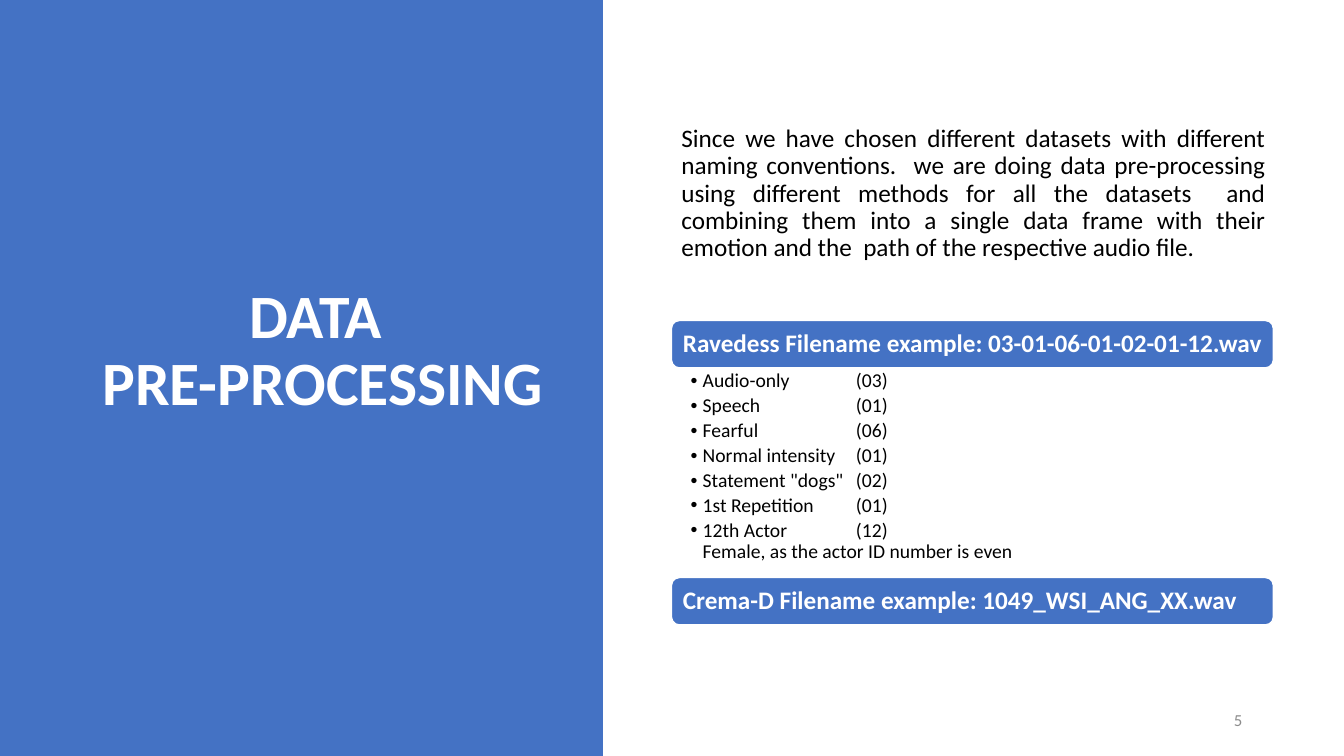
import pptx
import pptx.util
import pptx.dml.color
import pptx.enum.shapes
import pptx.enum.text
import lxml.etree
import pptx.oxml.ns

Inches = pptx.util.Inches
Pt = pptx.util.Pt
RGB = pptx.dml.color.RGBColor
ALIGN = pptx.enum.text.PP_ALIGN
ANCHOR = pptx.enum.text.MSO_ANCHOR
SHAPE = pptx.enum.shapes.MSO_SHAPE
qn = pptx.oxml.ns.qn

BLUE = RGB(0x44, 0x72, 0xC4)
WHITE = RGB(0xFF, 0xFF, 0xFF)
BLACK = RGB(0, 0, 0)
GRAY = RGB(0x8C, 0x8C, 0x8C)

deck = pptx.Presentation()
deck.slide_width = Inches(13.33)
deck.slide_height = Inches(7.5)
slide = deck.slides.add_slide(deck.slide_layouts[6])


def add_block(kind, left, top, width, height):
    """Add a blue preset shape without shadow or outline."""
    block = slide.shapes.add_shape(
        kind, Inches(left), Inches(top), Inches(width), Inches(height))
    block.shadow.inherit = False
    block.fill.solid()
    block.fill.fore_color.rgb = BLUE
    block.line.fill.background()
    return block


def set_text(shape, text, size, color, align, bold=False, anchor=ANCHOR.MIDDLE):
    """Fill a shape with text, one paragraph per line."""
    frame = shape.text_frame
    frame.word_wrap = True
    frame.vertical_anchor = anchor
    frame.text = text
    for para in frame.paragraphs:
        para.alignment = align
        para.line_spacing = 0.9
        for run in para.runs:
            run.font.name = "Calibri"
            run.font.size = Pt(size)
            run.font.bold = bold
            run.font.color.rgb = color
    return frame


# Left panel and title
add_block(SHAPE.RECTANGLE, 0, 0, 5.98, 7.5)
title = slide.shapes.add_textbox(
    Inches(0.68), Inches(0.7), Inches(5.04), Inches(6.25))
frame = set_text(title, "DATA \vPRE-PROCESSING", 44, WHITE, ALIGN.CENTER, True)
frame.margin_bottom = Inches(0.71)

# Introduction
intro = slide.shapes.add_textbox(
    Inches(6.66), Inches(1.2), Inches(5.99), Inches(1.65))
set_text(
    intro,
    "Since we have chosen different datasets with different naming "
    "conventions.  we are doing data pre-processing using different methods "
    "for all the datasets  and combining them into a single data frame with "
    "their emotion and the  path of the respective audio file.",
    18, BLACK, ALIGN.JUSTIFY, anchor=ANCHOR.TOP)

# Filename headings
heads = [
    (3.18, "Ravedess Filename example: 03-01-06-01-02-01-12.wav"),
    (5.73, "Crema-D Filename example: 1049_WSI_ANG_XX.wav"),
]
for top, text in heads:
    bar = add_block(SHAPE.ROUNDED_RECTANGLE, 6.66, top, 5.97, 0.47)
    bar.line.color.rgb = WHITE
    bar.line.width = Pt(1)
    frame = set_text(bar, text, 18, WHITE, ALIGN.LEFT, True)
    frame.margin_left = Inches(0.09)
    frame.margin_right = Inches(0.07)

# Filename parts, with the codes on a tab stop
parts = [
    ("Audio-only", "(03)"),
    ("Speech", "(01)"),
    ("Fearful", "(06)"),
    ("Normal intensity", "(01)"),
    ("Statement \"dogs\"", "(02)"),
    ("1st Repetition", "(01)"),
    ("12th Actor", "(12)\vFemale, as the actor ID number is even"),
]
notes = slide.shapes.add_textbox(
    Inches(6.66), Inches(3.65), Inches(5.97), Inches(2.08))
lines = "\n".join(f"{name}\t{code}" for name, code in parts)
frame = set_text(notes, lines, 14, BLACK, ALIGN.LEFT, anchor=ANCHOR.TOP)
frame.margin_left = Inches(0.19)
frame.margin_right = Inches(0.14)
frame.margin_top = frame.margin_bottom = Inches(0.03)
for para in frame.paragraphs:
    para.space_after = Pt(2.7)
    props = para._p.get_or_add_pPr()
    props.set("marL", str(Inches(0.12)))
    props.set("indent", str(-Inches(0.12)))
    font = lxml.etree.SubElement(props, qn("a:buFont"))
    font.set("typeface", "Arial")
    lxml.etree.SubElement(props, qn("a:buChar")).set("char", "•")
    tabs = lxml.etree.SubElement(props, qn("a:tabLst"))
    stop = lxml.etree.SubElement(tabs, qn("a:tab"))
    stop.set("pos", str(Inches(1.64)))
    stop.set("algn", "l")

# Page number
page = slide.shapes.add_textbox(
    Inches(9.42), Inches(6.95), Inches(3), Inches(0.4))
set_text(page, "5", 12, GRAY, ALIGN.RIGHT)

deck.save("out.pptx")
